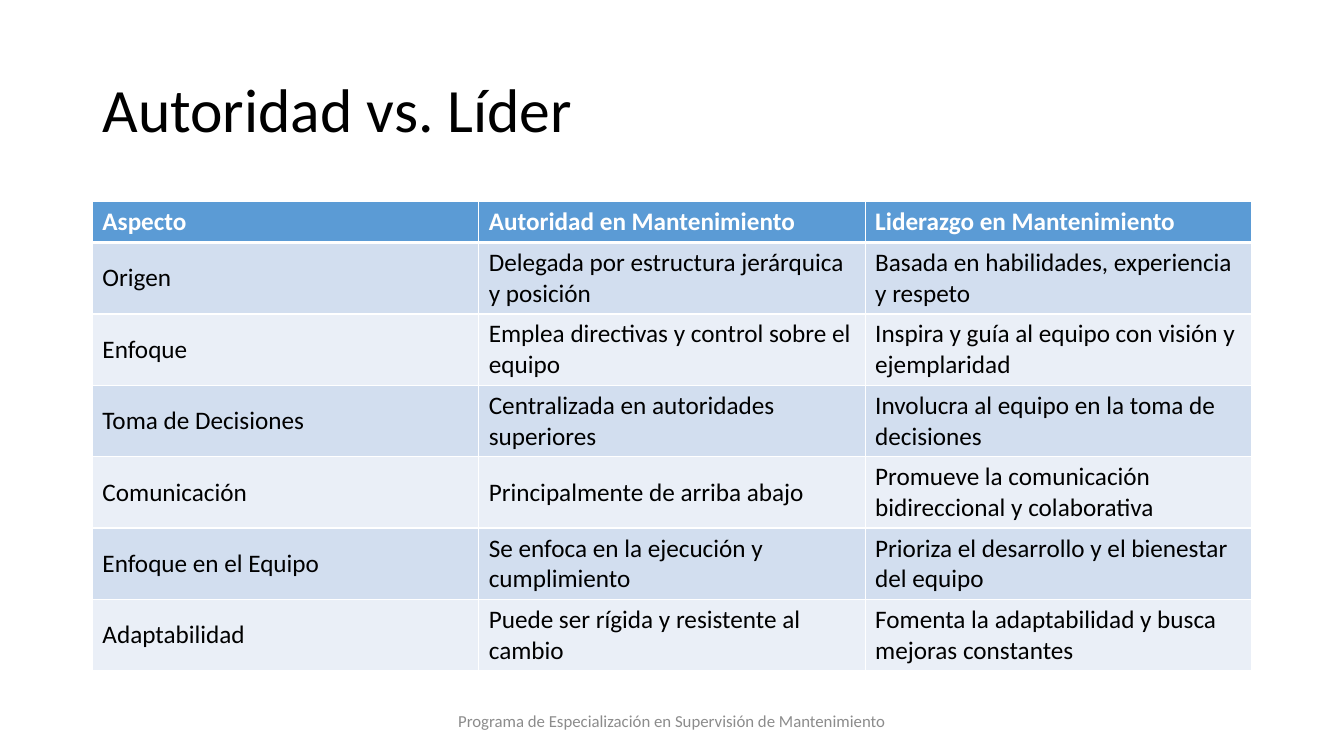
"""Build the slide comparing authority and leadership in maintenance."""
from dataclasses import dataclass

from lxml import etree
from pptx import Presentation
from pptx.dml.color import RGBColor
from pptx.enum.text import MSO_ANCHOR, PP_ALIGN
from pptx.oxml.ns import qn
from pptx.util import Emu, Pt

PX = 9525
TITLE_ONLY = 5
LEFT, CENTER = PP_ALIGN.LEFT, PP_ALIGN.CENTER
MIDDLE, BOTTOM = MSO_ANCHOR.MIDDLE, MSO_ANCHOR.BOTTOM


@dataclass(frozen=True)
class Theme:
    font: str = "Calibri"
    text: str = "000000"
    white: str = "FFFFFF"
    muted: str = "8C8C8C"
    header: str = "5B9BD5"
    bands: tuple[str, str] = ("D2DEEF", "EAEFF7")
    title_size: int = 44
    table_size: int = 18
    footer_size: int = 12
    thin: int = 1
    thick: int = 3


@dataclass(frozen=True)
class Box:
    left: int
    top: int
    width: int
    height: int

    def emu(self) -> tuple[Emu, ...]:
        return tuple(Emu(v * PX) for v in (self.left, self.top, self.width, self.height))


@dataclass(frozen=True)
class Aspect:
    name: str
    authority: str
    leadership: str

    def texts(self) -> tuple[str, str, str]:
        return self.name, self.authority, self.leadership


THEME = Theme()
SLIDE = Box(0, 0, 1280, 720)
TITLE = Box(88, 38, 1104, 139)
FOOTER = Box(424, 667, 432, 38)
HEADER_H, ROW_H = 39, 68
ROWS = [
    Aspect("Aspecto", "Autoridad en Mantenimiento", "Liderazgo en Mantenimiento"),
    Aspect("Origen", "Delegada por estructura jerárquica y posición",
           "Basada en habilidades, experiencia y respeto"),
    Aspect("Enfoque", "Emplea directivas y control sobre el equipo",
           "Inspira y guía al equipo con visión y ejemplaridad"),
    Aspect("Toma de Decisiones", "Centralizada en autoridades superiores",
           "Involucra al equipo en la toma de decisiones"),
    Aspect("Comunicación", "Principalmente de arriba abajo",
           "Promueve la comunicación bidireccional y colaborativa"),
    Aspect("Enfoque en el Equipo", "Se enfoca en la ejecución y cumplimiento",
           "Prioriza el desarrollo y el bienestar del equipo"),
    Aspect("Adaptabilidad", "Puede ser rígida y resistente al cambio",
           "Fomenta la adaptabilidad y busca mejoras constantes"),
]
TABLE = Box(88, 192, 1104, HEADER_H + ROW_H * (len(ROWS) - 1))


def write(tf, text: str, size: int, color: str, align=LEFT, bold: bool = False) -> None:
    tf.text = text
    p = tf.paragraphs[0]
    p.alignment = align
    font = p.runs[0].font
    font.name, font.size, font.bold = THEME.font, Pt(size), bold
    font.color.rgb = RGBColor.from_string(color)


def add_borders(cell, row: int) -> None:
    widths = {"a:lnL": THEME.thin, "a:lnR": THEME.thin,
              "a:lnT": THEME.thick if row == 1 else THEME.thin,
              "a:lnB": THEME.thick if row == 0 else THEME.thin}
    tc_pr = cell._tc.get_or_add_tcPr()
    for tag, width in widths.items():
        ln = etree.SubElement(tc_pr, qn(tag), w=str(Pt(width)))
        fill = etree.SubElement(ln, qn("a:solidFill"))
        etree.SubElement(fill, qn("a:srgbClr"), val=THEME.white)


def add_title(slide, text: str) -> None:
    sp = slide.shapes.title
    sp.left, sp.top, sp.width, sp.height = TITLE.emu()
    tf = sp.text_frame
    write(tf, text, THEME.title_size, THEME.text)
    tf.vertical_anchor = MIDDLE
    tf.paragraphs[0].line_spacing = 0.9


def add_footer(slide, text: str) -> None:
    tf = slide.shapes.add_textbox(*FOOTER.emu()).text_frame
    tf.word_wrap = True
    tf.vertical_anchor = MIDDLE
    write(tf, text, THEME.footer_size, THEME.muted, CENTER)


def add_comparison(slide, rows: list[Aspect]) -> None:
    table = slide.shapes.add_table(len(rows), 3, *TABLE.emu()).table
    for column in table.columns:
        column.width = Emu(TABLE.width * PX // 3)
    for i, aspect in enumerate(rows):
        header = i == 0
        table.rows[i].height = Emu((HEADER_H if header else ROW_H) * PX)
        fill = THEME.header if header else THEME.bands[(i - 1) % 2]
        color = THEME.white if header else THEME.text
        for cell, text in zip(table.rows[i].cells, aspect.texts()):
            write(cell.text_frame, text, THEME.table_size, color, bold=header)
            cell.vertical_anchor = BOTTOM if header else MIDDLE
            add_borders(cell, i)
            cell.fill.solid()
            cell.fill.fore_color.rgb = RGBColor.from_string(fill)


def main() -> None:
    prs = Presentation()
    prs.slide_width, prs.slide_height = SLIDE.emu()[2:]
    slide = prs.slides.add_slide(prs.slide_layouts[TITLE_ONLY])
    add_footer(slide, "Programa de Especialización en Supervisión de Mantenimiento")
    add_title(slide, "Autoridad vs. Líder")
    add_comparison(slide, ROWS)
    prs.save("out.pptx")


if __name__ == "__main__":
    main()
